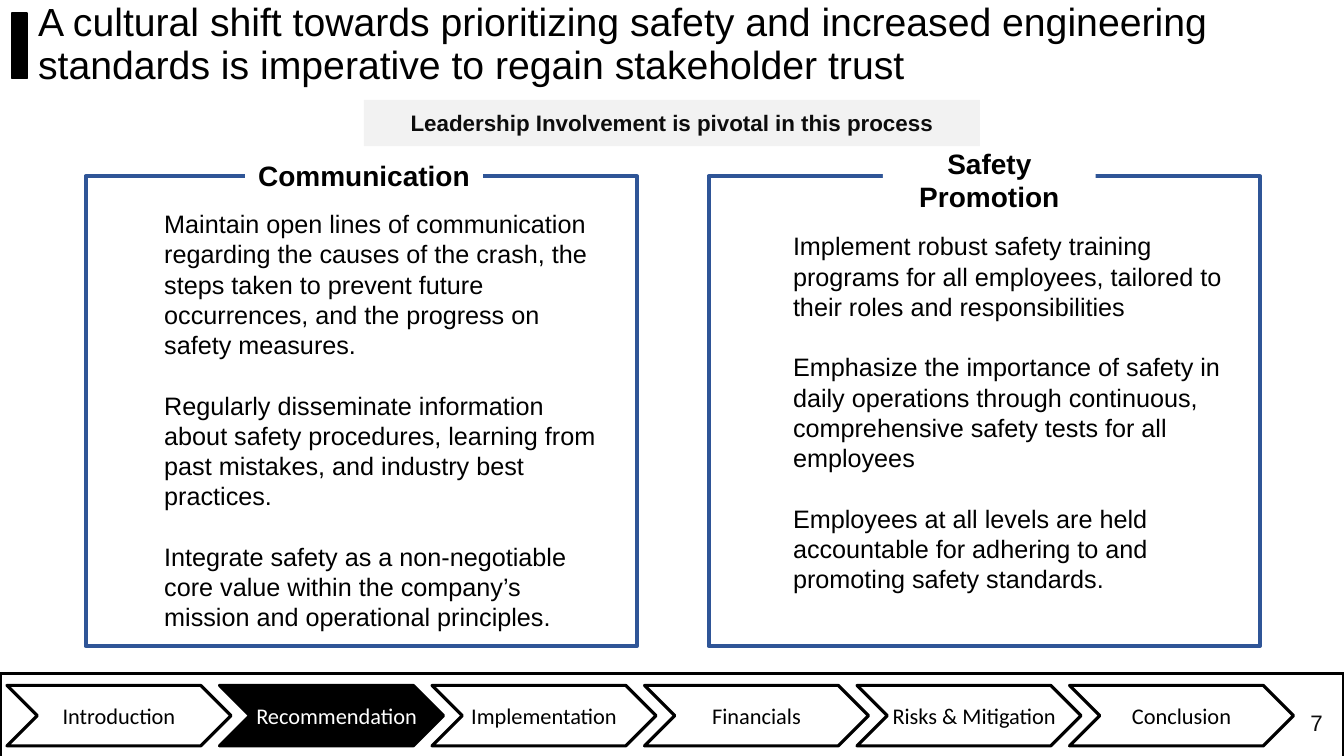
import pptx
import pptx.util
import pptx.dml.color
import pptx.enum.shapes
import pptx.enum.text
import pptx.oxml
import pptx.oxml.ns

Pt = pptx.util.Pt
SHAPES = pptx.enum.shapes.MSO_SHAPE
ALIGN = pptx.enum.text.PP_ALIGN
ANCHOR = pptx.enum.text.MSO_ANCHOR


def color(hex_string):
    return pptx.dml.color.RGBColor.from_string(hex_string)


def add_block(kind, box, fill=None, line=None, weight=1, paragraphs=(), ink="000000",
              font=None, layout=None, frame=None):
    """Add a shape with optional text; font, layout and frame hold format values."""
    block = slide.shapes.add_shape(kind, *[Pt(length) for length in box])
    block.shadow.inherit = False
    if fill:
        block.fill.solid()
        block.fill.fore_color.rgb = color(fill)
    else:
        block.fill.background()
    if line:
        block.line.color.rgb = color(line)
        block.line.width = Pt(weight)
    else:
        block.line.fill.background()
    text = block.text_frame
    frame_values = {"word_wrap": True, "vertical_anchor": ANCHOR.MIDDLE} | (frame or {})
    for name, value in frame_values.items():
        setattr(text, name, value)
    for index, wording in enumerate(paragraphs):
        paragraph = text.add_paragraph() if index else text.paragraphs[0]
        paragraph.text = wording
        for name, value in ({"alignment": ALIGN.LEFT} | (layout or {})).items():
            setattr(paragraph, name, value)
        for name, value in ({"name": "Arial"} | (font or {})).items():
            setattr(paragraph.font, name, value)
        paragraph.font.color.rgb = color(ink)
    return block


deck = pptx.Presentation()
deck.slide_width, deck.slide_height = Pt(960), Pt(540)
slide = deck.slides.add_slide(deck.slide_layouts[6])
CENTERED = {"alignment": ALIGN.CENTER}

# Progress bar
add_block(SHAPES.RECTANGLE, (0, 481, 960, 60.5), "FFFFFF", "000000", 2.25)
stages = ["Introduction", "Recommendation", "Implementation",
          "Financials", "Risks & Mitigation", "Conclusion"]
current_stage = "Recommendation"
nudged_stages = {"Recommendation", "Risks & Mitigation"}
for index, stage in enumerate(stages):
    active = stage == current_stage
    add_block(SHAPES.CHEVRON, (5 + 151.8 * index, 489.6, 160, 43.2),
              "000000" if active else "FFFFFF", "000000", 2.25,
              [stage], "FFFFFF" if active else "000000",
              {"name": "Calibri", "size": Pt(16)}, CENTERED,
              {"word_wrap": False,
               "margin_left": Pt(14.4 if stage in nudged_stages else 7.2)})
add_block(SHAPES.RECTANGLE, (736, 502, 216, 28.8), paragraphs=["7"], ink="0D0D0D",
          font={"size": Pt(16)}, layout={"alignment": ALIGN.RIGHT})

# Heading
add_block(SHAPES.RECTANGLE, (8.6, 9.4, 10.8, 46.8), "000000", "000000")
add_block(SHAPES.RECTANGLE, (20.2, 2.2, 926.6, 60.5),
          paragraphs=["A cultural shift towards prioritizing safety and increased "
                      "engineering standards is imperative to regain stakeholder trust"],
          font={"size": Pt(28)}, layout={"line_spacing": 0.9})

# Framed columns: frame left, gap in the frame, title box, body box, points
columns = [
    (61.2, (175, 112.3, 170, 25.2), "Communication", (175, 112.3, 170, 25.2),
     (110.2, 145.4, 334.8, 312.5),
     ["Maintain open lines of communication regarding the causes of the crash, the steps "
      "taken to prevent future occurrences, and the progress on safety measures.",
      "Regularly disseminate information about safety procedures, learning from past "
      "mistakes, and industry best practices.",
      "Integrate safety as a non-negotiable core value within the company’s mission "
      "and operational principles."]),
    (506.2, (630.7, 113, 152, 26.6), "Safety Promotion", (643, 103.7, 127.4, 49.7),
     (559.4, 161.3, 341.3, 269.3),
     ["Implement robust safety training programs for all employees, tailored to their "
      "roles and responsibilities",
      "Emphasize the importance of safety in daily operations through continuous, "
      "comprehensive safety tests for all employees",
      "Employees at all levels are held accountable for adhering to and promoting "
      "safety standards."]),
]
title_frame = {"vertical_anchor": ANCHOR.TOP, "margin_left": 0, "margin_right": 0,
               "margin_top": Pt(0.7), "margin_bottom": 0}
for left, gap_box, title, title_box, body_box, points in columns:
    add_block(SHAPES.RECTANGLE, (left, 126, 393.8, 335.5), line="2F5597", weight=3)
    add_block(SHAPES.RECTANGLE, gap_box, "FFFFFF")
    add_block(SHAPES.RECTANGLE, body_box, paragraphs=points, font={"size": Pt(18)},
              layout={"space_after": Pt(21.6)}, frame={"vertical_anchor": ANCHOR.TOP})
    add_block(SHAPES.RECTANGLE, title_box, paragraphs=[title],
              font={"size": Pt(20), "bold": True}, layout=CENTERED, frame=title_frame)

# Key message on a translucent band
band = add_block(SHAPES.RECTANGLE, (260, 71.3, 440, 33.1), "808080",
                 paragraphs=["Leadership Involvement is pivotal in this process"],
                 ink="0D0D0D", font={"size": Pt(16), "bold": True}, layout=CENTERED)
band_color = band.fill._xPr.find(".//" + pptx.oxml.ns.qn("a:srgbClr"))
band_color.append(pptx.oxml.parse_xml(
    f'<a:alpha {pptx.oxml.ns.nsdecls("a")} val="10000"/>'))

deck.save("out.pptx")
